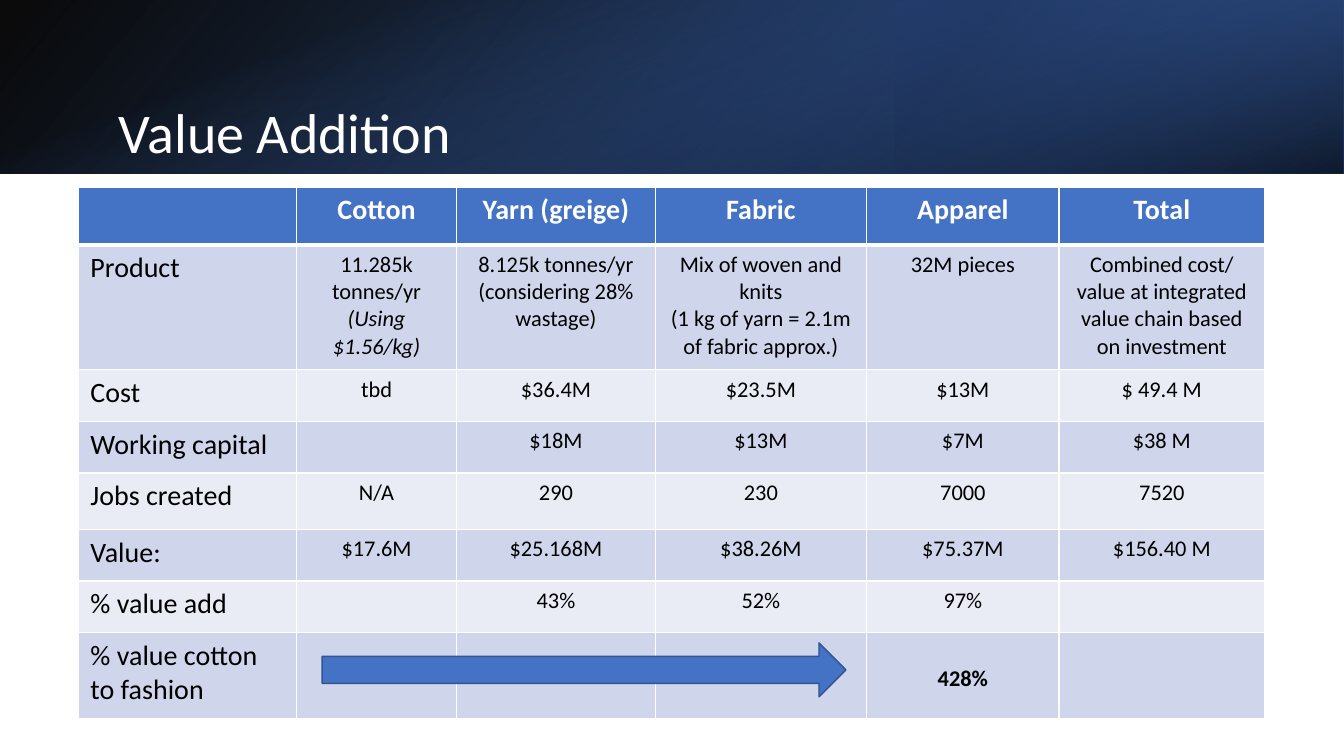
from dataclasses import dataclass
from typing import Any

from lxml import etree
from pptx import Presentation
from pptx.dml.color import RGBColor
from pptx.enum.shapes import MSO_SHAPE
from pptx.enum.text import MSO_ANCHOR, PP_ALIGN
from pptx.oxml.ns import qn
from pptx.util import Cm, Pt

RECTANGLE, RIGHT_ARROW = MSO_SHAPE.RECTANGLE, MSO_SHAPE.RIGHT_ARROW
LEFT, CENTER = PP_ALIGN.LEFT, PP_ALIGN.CENTER
TOP, MIDDLE = MSO_ANCHOR.TOP, MSO_ANCHOR.MIDDLE

TITLE_ONLY_LAYOUT = 5
SLIDE_WIDTH, SLIDE_HEIGHT, BANNER_HEIGHT = 33.87, 19.05, 4.37
WHITE, BLACK, BLUE = "FFFFFF", "000000", "4472C4"
BAND_FILLS = ("E9EBF5", "CFD5EA")


@dataclass(frozen=True)
class Stop:
    position: float
    colour: str
    opacity: int


@dataclass(frozen=True)
class BannerLayer:
    left: float
    top: float
    width: float
    height: float
    rotation: int
    flipped: bool
    angle: int
    stops: tuple[Stop, Stop]


@dataclass(frozen=True)
class ValueRow:
    height: float
    label: str
    entries: tuple[str, ...]


BANNER_LAYERS = (
    BannerLayer(0, 0, SLIDE_WIDTH, BANNER_HEIGHT, 0, True, 140,
                (Stop(0, BLACK, 96), Stop(1, "2F5597", 100))),
    BannerLayer(22.58, 0, 11.29, BANNER_HEIGHT, 180, True, 320,
                (Stop(0.19, "203864", 68), Stop(1, BLUE, 79))),
    BannerLayer((SLIDE_WIDTH - BANNER_HEIGHT) / 2, (BANNER_HEIGHT - SLIDE_WIDTH) / 2,
                BANNER_HEIGHT, SLIDE_WIDTH, 90, False, 340,
                (Stop(0.23, BLUE, 0), Stop(0.99, BLACK, 74))),
)

COLUMN_WIDTHS = (5.49, 4.04, 5, 5.33, 4.85, 5.18)
COTTON_PRICE = "(Using $1.56/kg)"
FASHION_GAIN = "428%"
EMPHASIS = {COTTON_PRICE: {"italic": True}, FASHION_GAIN: {"bold": True}}

VALUE_CHAIN = (
    ValueRow(1.45, "", ("Cotton", "Yarn (greige)", "Fabric", "Apparel", "Total")),
    ValueRow(3.15, "Product", (
        f"11.285k tonnes/yr\n{COTTON_PRICE}",
        "8.125k tonnes/yr\n(considering 28% wastage)",
        "Mix of woven and knits\n(1 kg of yarn = 2.1m of fabric approx.)",
        "32M pieces",
        "Combined cost/ value at integrated value chain based on investment",
    )),
    ValueRow(1.3, "Cost", ("tbd", "$36.4M", "$23.5M", "$13M", "$ 49.4 M")),
    ValueRow(1.3, "Working capital", ("", "$18M", "$13M", "$7M", "$38 M")),
    ValueRow(1.42, "Jobs created", ("N/A", "290", "230", "7000", "7520")),
    ValueRow(1.3, "Value:", ("$17.6M", "$25.168M", "$38.26M", "$75.37M", "$156.40 M")),
    ValueRow(1.3, "% value add", ("", "43%", "52%", "97%", "")),
    ValueRow(2.18, "% value cotton to fashion", ("", "", "", FASHION_GAIN, "")),
)


def rgb(colour: str) -> RGBColor:
    return RGBColor.from_string(colour)


def apply_format(target: Any, values: dict[str, Any]) -> None:
    for attribute, value in values.items():
        setattr(target, attribute, value)


def format_font(font: Any, size: int, colour: str, **extras: bool) -> None:
    apply_format(font, {"name": "Calibri", "size": Pt(size), **extras})
    font.color.rgb = rgb(colour)


def draw_banner_layer(slide: Any, layer: BannerLayer) -> None:
    band = slide.shapes.add_shape(RECTANGLE, Cm(layer.left), Cm(layer.top),
                                  Cm(layer.width), Cm(layer.height))
    band.shadow.inherit = False
    band.rotation = layer.rotation
    if layer.flipped:
        band.element.spPr.get_or_add_xfrm().set("flipH", "1")
    band.line.fill.background()
    band.fill.gradient()
    band.fill.gradient_angle = 360 - layer.angle
    for gradient_stop, stop in zip(band.fill.gradient_stops, layer.stops):
        gradient_stop.position = stop.position
        gradient_stop.color.rgb = rgb(stop.colour)
    for tint, stop in zip(band.element.spPr.iter(qn("a:srgbClr")), layer.stops):
        etree.SubElement(tint, qn("a:alpha"), val=str(stop.opacity * 1000))


def place_title(slide: Any) -> None:
    title = slide.shapes.title
    apply_format(title, {"left": Cm(2.74), "top": Cm(2.18),
                         "width": Cm(27.89), "height": Cm(2.44)})
    title.text_frame.text = "Value Addition"
    apply_format(title.text_frame, {"vertical_anchor": MIDDLE, "word_wrap": True})
    heading = title.text_frame.paragraphs[0]
    apply_format(heading, {"alignment": LEFT, "line_spacing": 0.9})
    format_font(heading.runs[0].font, 40, WHITE)
    title.element.getparent().append(title.element)


def draw_borders(cell: Any, widths: dict[str, int]) -> None:
    properties = cell._tc.get_or_add_tcPr()
    for side, width in widths.items():
        border = etree.SubElement(properties, qn(f"a:ln{side}"), w=str(Pt(width)))
        paint = etree.SubElement(border, qn("a:solidFill"))
        etree.SubElement(paint, qn("a:srgbClr"), val=WHITE)


def fill_cell(cell: Any, text: str, row: int, column: int) -> None:
    is_header, is_label = row == 0, column == 0
    draw_borders(cell, {"L": 1, "R": 1, "T": 3 if row == 1 else 1, "B": 3 if is_header else 1})
    cell.fill.solid()
    cell.fill.fore_color.rgb = rgb(BLUE if is_header else BAND_FILLS[row % 2])
    apply_format(cell, {
        "margin_left": Cm(0.3), "margin_right": Cm(0.3), "margin_bottom": Cm(0.15),
        "margin_top": Cm(0.83 if text == FASHION_GAIN else 0.15), "vertical_anchor": TOP,
    })
    if not text:
        return
    cell.text_frame.text = text
    for paragraph in cell.text_frame.paragraphs:
        paragraph.alignment = LEFT if is_label else CENTER
        style = {"bold": is_header, "italic": False, **EMPHASIS.get(paragraph.text, {})}
        format_font(paragraph.runs[0].font, 20 if is_header or is_label else 16,
                    WHITE if is_header else BLACK, **style)


def draw_value_table(slide: Any) -> None:
    table = slide.shapes.add_table(
        len(VALUE_CHAIN), len(COLUMN_WIDTHS), Cm(1.98), Cm(4.72),
        Cm(sum(COLUMN_WIDTHS)), Cm(sum(row.height for row in VALUE_CHAIN))).table
    for column, width in zip(table.columns, COLUMN_WIDTHS):
        column.width = Cm(width)
    for row_index, row in enumerate(VALUE_CHAIN):
        table.rows[row_index].height = Cm(row.height)
        for column_index, text in enumerate((row.label, *row.entries)):
            fill_cell(table.cell(row_index, column_index), text, row_index, column_index)


def draw_fashion_arrow(slide: Any) -> None:
    arrow = slide.shapes.add_shape(RIGHT_ARROW, Cm(8.12), Cm(16.2), Cm(13.2), Cm(1.36))
    arrow.shadow.inherit = False
    arrow.fill.solid()
    arrow.fill.fore_color.rgb = rgb(BLUE)
    arrow.line.color.rgb = rgb("325491")
    arrow.line.width = Pt(1)


def main() -> None:
    presentation = Presentation()
    apply_format(presentation, {"slide_width": Cm(SLIDE_WIDTH), "slide_height": Cm(SLIDE_HEIGHT)})
    slide = presentation.slides.add_slide(presentation.slide_layouts[TITLE_ONLY_LAYOUT])
    for layer in BANNER_LAYERS:
        draw_banner_layer(slide, layer)
    place_title(slide)
    draw_value_table(slide)
    draw_fashion_arrow(slide)
    presentation.save("out.pptx")


if __name__ == "__main__":
    main()
